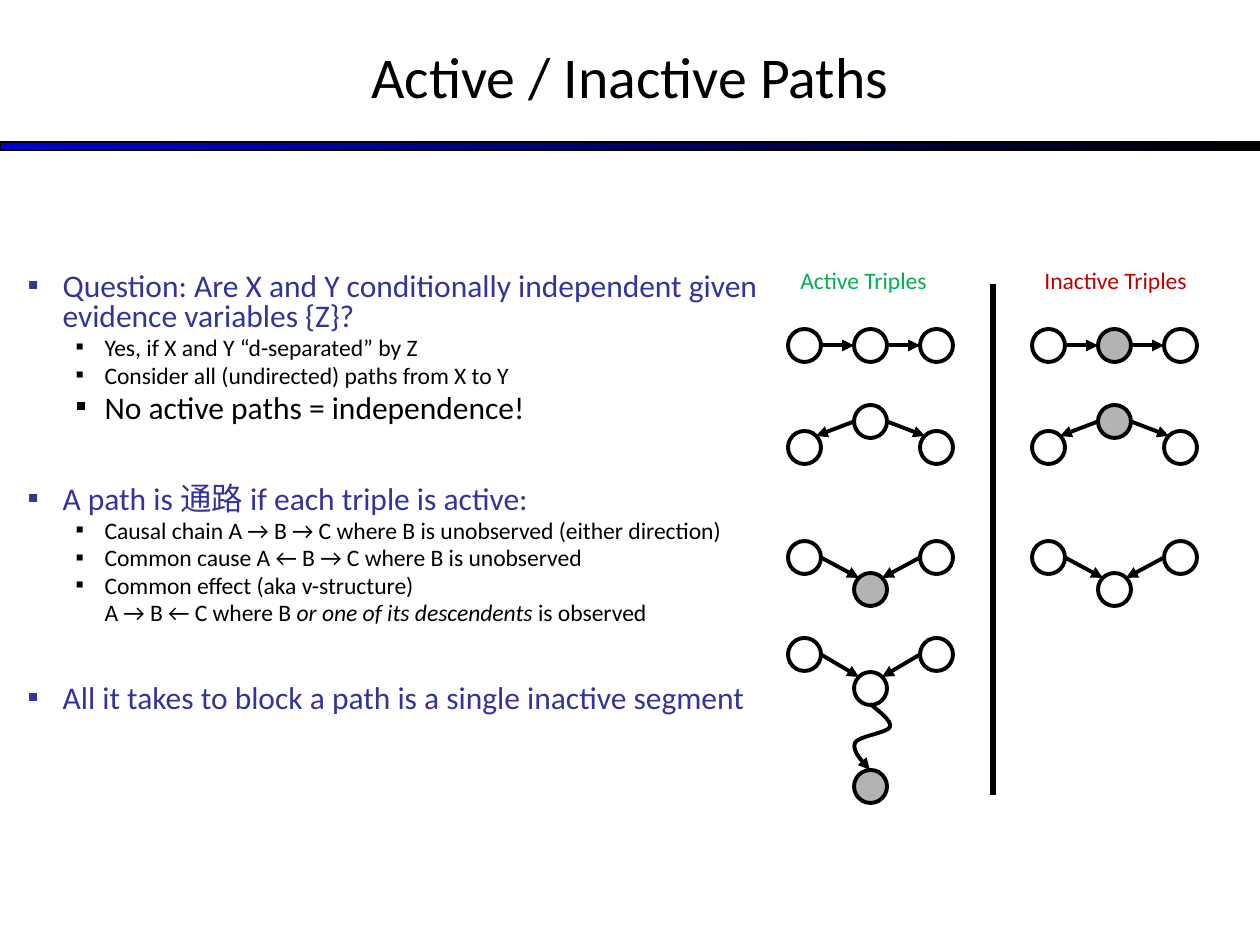
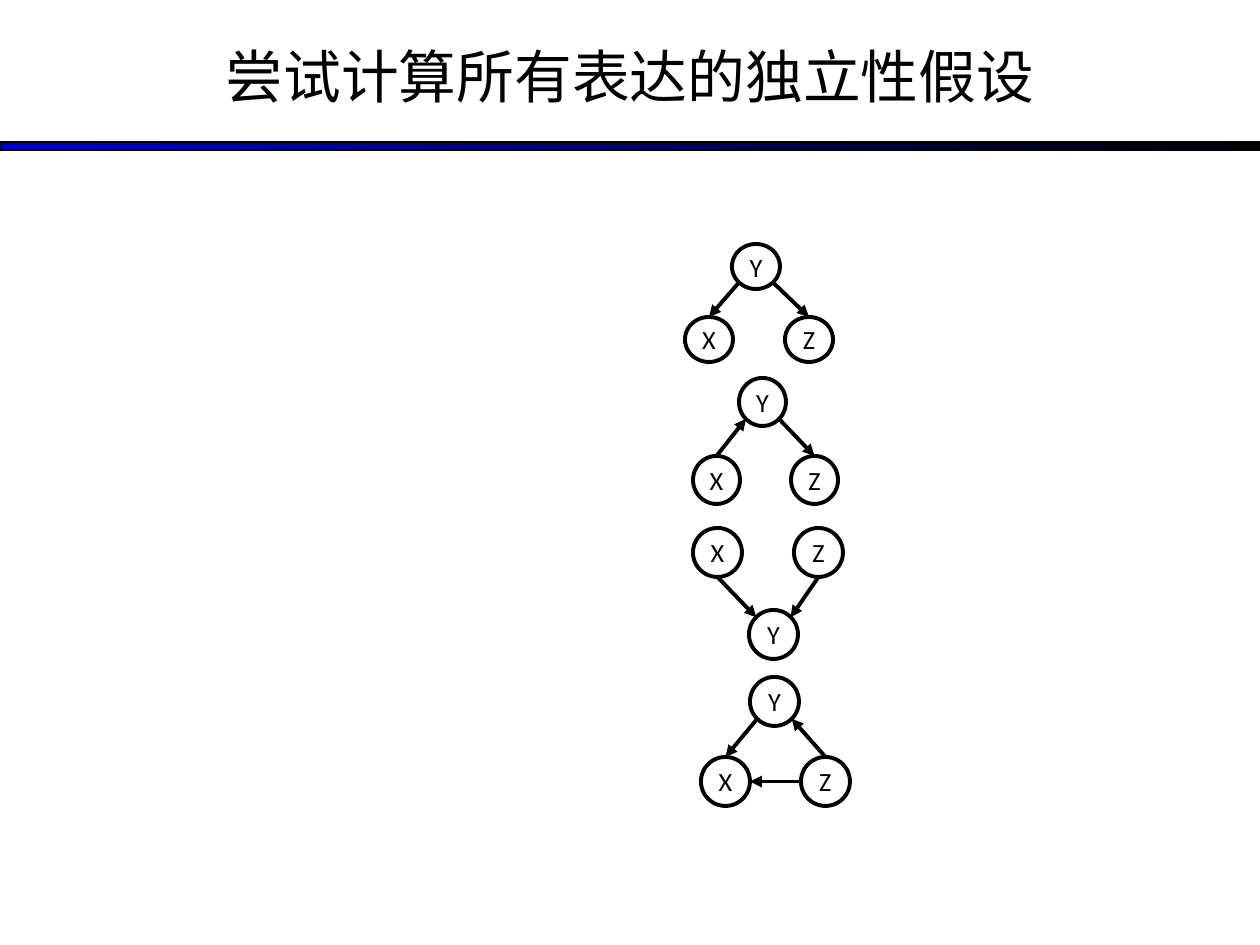
"""Build two slides on active and inactive paths in Bayes nets."""
from lxml import etree
from pptx import Presentation
from pptx.dml.color import RGBColor
from pptx.enum.shapes import MSO_CONNECTOR, MSO_SHAPE
from pptx.enum.text import MSO_ANCHOR, MSO_AUTO_SIZE, PP_ALIGN
from pptx.oxml.ns import qn
from pptx.util import Pt

PX = 914400 / 126
LATIN, EAST_ASIAN = "Calibri", "Noto Sans CJK SC"
BLACK = RGBColor(0x00, 0x00, 0x00)
WHITE = RGBColor(0xFF, 0xFF, 0xFF)
OBSERVED = RGBColor(0xB3, 0xB3, 0xB3)
INDIGO = RGBColor(0x33, 0x33, 0x99)
BAND_BLUE = RGBColor(0x00, 0x00, 0xCC)
GREEN = RGBColor(0x00, 0xB0, 0x50)
RED = RGBColor(0xC0, 0x00, 0x00)

OVAL, RECTANGLE = MSO_SHAPE.OVAL, MSO_SHAPE.RECTANGLE
STRAIGHT = MSO_CONNECTOR.STRAIGHT
CENTER, MIDDLE = PP_ALIGN.CENTER, MSO_ANCHOR.MIDDLE
NO_AUTOFIT = MSO_AUTO_SIZE.NONE

PORTS = {"n": (0.5, 0), "e": (1, 0.5), "w": (0, 0.5),
         "nw": (0.15, 0.15), "ne": (0.85, 0.15),
         "sw": (0.15, 0.85), "se": (0.85, 0.85)}
NODE, PITCH = 33, 66
ACTIVE_X, INACTIVE_X = 788, 1032
CHAIN = [(0, "e", 1, "w"), (1, "e", 2, "w")]
COMMON_CAUSE = [(1, "w", 0, "ne"), (1, "e", 2, "nw")]
COMMON_EFFECT = [(0, "e", 1, "nw"), (2, "w", 1, "ne")]
TRIPLES = [
    (ACTIVE_X, 329, 329, WHITE, CHAIN),
    (INACTIVE_X, 329, 329, OBSERVED, CHAIN),
    (ACTIVE_X, 431, 405, WHITE, COMMON_CAUSE),
    (INACTIVE_X, 431, 405, OBSERVED, COMMON_CAUSE),
    (ACTIVE_X, 541, 573, OBSERVED, COMMON_EFFECT),
    (INACTIVE_X, 541, 573, WHITE, COMMON_EFFECT),
]
DESCENDENT_CURVE = [
    ((870, 704), (880, 712), (892, 721), (890, 727)),
    ((890, 727), (888, 733), (858, 736), (855, 743)),
    ((855, 743), (852, 751), (861, 760), (870, 770)),
]

LEVELS = [(35, INDIGO), (77, BLACK)]
HANGING = [35, 29]
POINTS = [
    (0, 18, 3.6, True, ["Question: Are X and Y conditionally independent given "
                        "evidence variables {Z}?"]),
    (1, 13.5, 2.7, True, ["Yes, if X and Y “d-separated” by Z"]),
    (1, 13.5, 2.7, True, ["Consider all (undirected) paths from X to Y"]),
    (1, 18, 3.6, True, ["No active paths = independence!"]),
    (0, 18, 35, True, ["A path is 通路 if each triple is active:"]),
    (1, 13.5, 2.7, True, ["Causal chain A → B → C where B is unobserved "
                          "(either direction)"]),
    (1, 13.5, 2.7, True, ["Common cause A ← B → C where B is unobserved"]),
    (1, 13.5, 2.7, True, ["Common effect (aka v-structure)"]),
    (1, 13.5, 2.7, False, ["A → B ← C where B ", "or one of its descendents",
                           " is observed"]),
    (0, 18, 33.6, True, ["All it takes to block a path is a single inactive segment"]),
]

NETWORKS = [
    ((48, 45), {"X": (685, 317), "Y": (732, 244), "Z": (785, 317)},
     [("Y", "sw", "X", "n"), ("Y", "se", "Z", "n")]),
    ((47, 48), {"X": (693, 456), "Y": (739, 378), "Z": (791, 456)},
     [("X", "n", "Y", "sw"), ("Y", "se", "Z", "n")]),
    ((49, 49), {"X": (693, 528), "Y": (749, 610), "Z": (794, 528)},
     [("X", "s", "Y", "nw"), ("Z", "s", "Y", "ne")]),
    ((49, 49), {"X": (701, 757), "Y": (750, 677), "Z": (801, 757)},
     [("Y", "sw", "X", "n"), ("Z", "n", "Y", "se"), ("Z", "w", "X", "e")]),
]
PORTS["s"] = (0.5, 1)


def emu(*lengths):
    """Turn px lengths into EMU."""
    return [round(length * PX) for length in lengths]


def place(shape, *box):
    """Move and size a shape to a px box."""
    shape.left, shape.top, shape.width, shape.height = emu(*box)


def add_run(paragraph, text, size, color, italic=False):
    """Add one styled run."""
    run = paragraph.add_run()
    run.text = text
    font = run.font
    font.name, font.size, font.italic = LATIN, Pt(size), italic
    font.color.rgb = color
    east_asian = etree.Element(qn("a:ea"), typeface=EAST_ASIAN)
    font.element.find(qn("a:latin")).addnext(east_asian) if hasattr(
        font, "element") else run._r.rPr.find(qn("a:latin")).addnext(east_asian)


def outline(line, arrow=False, width=2.25):
    """Draw a black line, with an arrowhead at its end on request."""
    line.color.rgb, line.width = BLACK, Pt(width)
    if arrow:
        etree.SubElement(line._get_or_add_ln(), qn("a:tailEnd"), type="triangle")


def add_band(slide):
    """Put the gradient band on the master of this slide."""
    band = slide.shapes.add_shape(RECTANGLE, *emu(0, 142, 1260, 8))
    band.shadow.inherit = False
    band.fill.gradient()
    band.fill.gradient_angle = 0
    for stop, color in zip(band.fill.gradient_stops, (BAND_BLUE, BLACK)):
        stop.color.rgb = color
    outline(band.line, width=0.75)
    band.element.nvSpPr.cNvPr.set("id", "90")
    slide.slide_layout.slide_master.shapes.element.append(band.element)


def set_title(slide, text):
    """Fill and format the title placeholder."""
    title = slide.shapes.title
    place(title, 0, -4, 1260, 158)
    frame = title.text_frame
    frame.vertical_anchor, frame.auto_size = MIDDLE, NO_AUTOFIT
    frame.paragraphs[0].alignment = CENTER
    add_run(frame.paragraphs[0], text, 33, BLACK)


def set_bullet(paragraph, level, bulleted):
    """Set the indent and the square bullet of a paragraph."""
    left, color = LEVELS[level]
    indent = -HANGING[level] if bulleted else 0
    props = paragraph._p.get_or_add_pPr()
    for name, length in zip(("marL", "indent"), emu(left, indent)):
        props.set(name, str(length))
    if not bulleted:
        etree.SubElement(props, qn("a:buNone"))
        return
    bullet_color = etree.SubElement(props, qn("a:buClr"))
    etree.SubElement(bullet_color, qn("a:srgbClr"), val=str(color))
    etree.SubElement(props, qn("a:buFont"), typeface=LATIN)
    etree.SubElement(props, qn("a:buChar"), char="▪")


def set_points(body, points):
    """Fill the body placeholder with the bulleted list."""
    place(body, 15, 267, 780, 519)
    frame = body.text_frame
    frame.auto_size = NO_AUTOFIT
    for index, (level, size, gap, bulleted, parts) in enumerate(points):
        paragraph = frame.add_paragraph() if index else frame.paragraphs[0]
        paragraph.level = level
        paragraph.line_spacing, paragraph.space_before = 0.8, Pt(gap)
        set_bullet(paragraph, level, bulleted)
        for order, part in enumerate(parts):
            add_run(paragraph, part, size, LEVELS[level][1], italic=order == 1)


def add_node(shapes, box, color=WHITE, letter=""):
    """Draw a round node, with a letter if given."""
    node = shapes.add_shape(OVAL, *emu(*box))
    node.shadow.inherit = False
    node.fill.solid()
    node.fill.fore_color.rgb = color
    outline(node.line)
    if letter:
        frame = node.text_frame
        frame.word_wrap, frame.vertical_anchor = False, MIDDLE
        frame.paragraphs[0].alignment = CENTER
        add_run(frame.paragraphs[0], letter, 15, BLACK)
    return node


def port(node, side):
    """Give the point of a node's rim on one side."""
    across, down = PORTS[side]
    return (round(node.left + across * node.width),
            round(node.top + down * node.height))


def add_line(shapes, start, end, arrow=True, width=2.25):
    """Draw a straight line between two EMU points."""
    link = shapes.add_connector(STRAIGHT, *start, *end)
    outline(link.line, arrow, width)
    etree.SubElement(link.element.spPr, qn("a:effectLst"))


def add_links(shapes, nodes, links):
    """Join nodes by arrows from rim to rim."""
    for source, exit_side, target, entry_side in links:
        add_line(shapes, port(nodes[source], exit_side),
                 port(nodes[target], entry_side))


def add_triple(slide, left, side_top, middle_top, middle_color, links):
    """Draw three nodes and their arrows as a group."""
    shapes = slide.shapes.add_group_shape().shapes
    tops = (side_top, middle_top, side_top)
    colors = (WHITE, middle_color, WHITE)
    nodes = [add_node(shapes, (left + i * PITCH, top, NODE, NODE), color)
             for i, (top, color) in enumerate(zip(tops, colors))]
    add_links(shapes, nodes, links)
    return shapes


def bezier(anchors, t):
    """Give the point at t on a cubic curve."""
    weights = ((1 - t) ** 3, 3 * t * (1 - t) ** 2, 3 * t * t * (1 - t), t ** 3)
    return tuple(sum(w * p[axis] for w, p in zip(weights, anchors))
                 for axis in (0, 1))


def add_curve(shapes, segments, steps=8):
    """Draw a smooth curved arrow through cubic segments."""
    points = [emu(*bezier(anchors, step / steps))
              for anchors in segments for step in range(1, steps + 1)]
    builder = shapes.build_freeform(*emu(*segments[0][0]))
    builder.add_line_segments(points, close=False)
    curve = builder.convert_to_shape()
    curve.shadow.inherit = False
    curve.fill.background()
    outline(curve.line, arrow=True)


def add_label(slide, box, text, color):
    """Write the heading of a column of triples."""
    frame = slide.shapes.add_textbox(*emu(*box)).text_frame
    frame.word_wrap = True
    add_run(frame.paragraphs[0], text, 13.5, color)


def add_network(slide, size, corners, links):
    """Draw a lettered network as a group."""
    shapes = slide.shapes.add_group_shape().shapes
    nodes = {letter: add_node(shapes, (*corner, *size), letter=letter)
             for letter, corner in corners.items()}
    add_links(shapes, nodes, links)


def build_triples_slide(slide):
    """Build the slide on active and inactive triples."""
    set_title(slide, "Active / Inactive Paths")
    set_points(slide.placeholders[1], POINTS)
    for triple in TRIPLES:
        add_triple(slide, *triple)
    descendent = add_triple(slide, ACTIVE_X, 638, 672, WHITE, COMMON_EFFECT)
    add_node(descendent, (ACTIVE_X + PITCH, 770, NODE, NODE), OBSERVED)
    add_curve(descendent, DESCENDENT_CURVE)
    add_line(slide.shapes, emu(993, 284), emu(993, 795), arrow=False, width=3)
    add_label(slide, (ACTIVE_X, 260, 165, 42), "Active Triples", GREEN)
    add_label(slide, (INACTIVE_X, 260, 181, 42), "Inactive Triples", RED)


def build_networks_slide(slide):
    """Build the slide of networks to work through."""
    set_title(slide, "尝试计算所有表达的独立性假设")
    for network in NETWORKS:
        add_network(slide, *network)


def main():
    """Build and save the presentation."""
    deck = Presentation()
    deck.slide_width, deck.slide_height = emu(1260, 945)
    triples = deck.slides.add_slide(deck.slide_layouts[1])
    add_band(triples)
    build_triples_slide(triples)
    build_networks_slide(deck.slides.add_slide(deck.slide_layouts[5]))
    deck.save("out.pptx")


if __name__ == "__main__":
    main()
